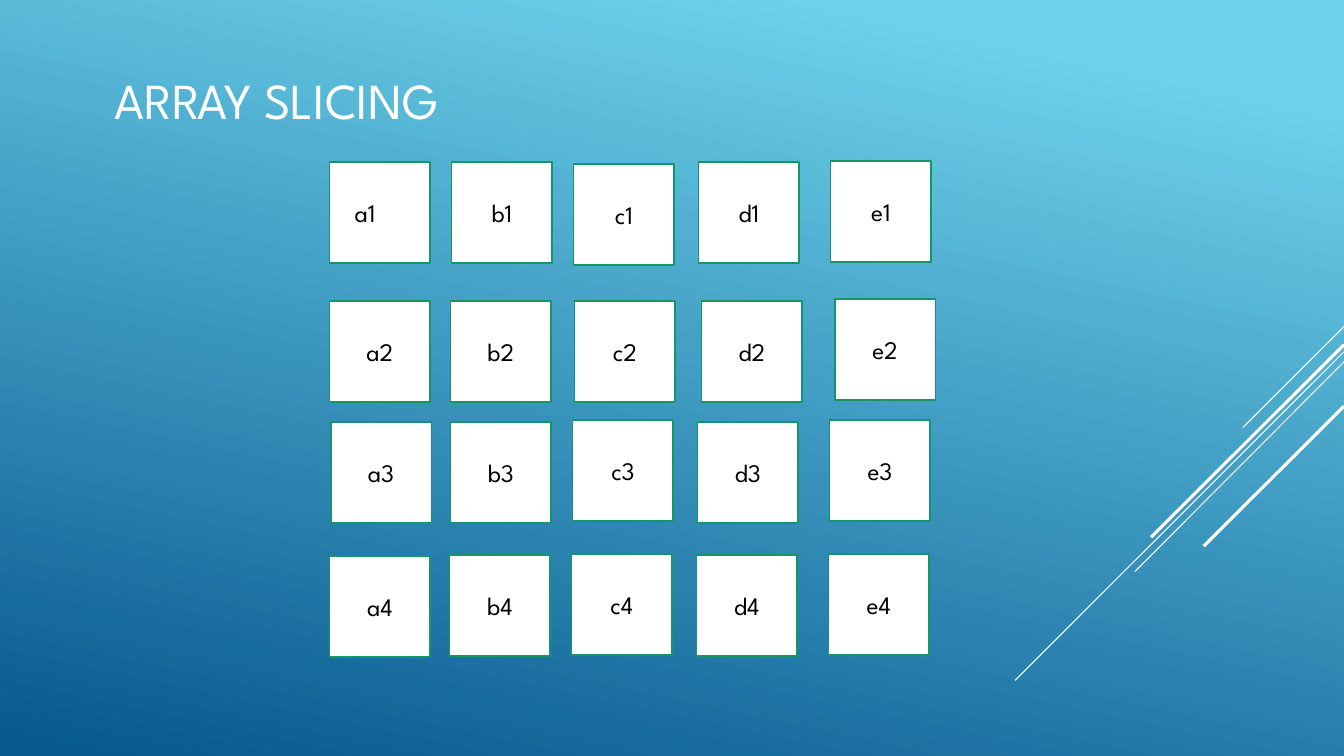
import pptx
import pptx.util
import pptx.dml.color
import pptx.enum.shapes
import pptx.enum.text
import pptx.oxml.ns
import lxml.etree

Pt = pptx.util.Pt
COLORS = {"sky": "6ED2EB", "deep": "06588E", "white": "FFFFFF", "green": "149666", "black": "000000"}
FONT = "League Spartan"
SLIDE_WIDTH = 960
CELL_SIZE = 72


def rgb(name):
    return pptx.dml.color.RGBColor.from_string(COLORS[name])


def add_text(paragraph, text, size, color):
    run = paragraph.add_run()
    run.text = text
    run.font.name = FONT
    run.font.size = Pt(size)
    run.font.color.rgb = rgb(color)


presentation = pptx.Presentation()
presentation.slide_width = Pt(SLIDE_WIDTH)
presentation.slide_height = Pt(540)
slide = presentation.slides.add_slide(presentation.slide_layouts[5])

background = slide.background.fill
background.gradient()
background.gradient_angle = 258
for stop, position, color in zip(background.gradient_stops, (0.1, 1), ("sky", "deep")):
    stop.position = position
    stop.color.rgb = rgb(color)

diagonals = [
    (233.3, 887.8, 305.3, 0.75),
    (251.3, 725, 486, 0.75),
    (258.5, 810.7, 408.2, 0.75),
    (246.2, 822.2, 383.8, 2.25),
    (290.2, 859.7, 390.2, 2.25),
]
for start_y, end_x, end_y, width in diagonals:
    connector = slide.shapes.add_connector(
        pptx.enum.shapes.MSO_CONNECTOR.STRAIGHT,
        Pt(SLIDE_WIDTH), Pt(start_y), Pt(end_x), Pt(end_y))
    connector.line.color.rgb = rgb("white")
    connector.line.width = Pt(width)
    lxml.etree.SubElement(connector._element.spPr, pptx.oxml.ns.qn("a:effectLst"))

cell_rows = [
    ((235.4, 322.6, 409.7, 499, 593.3), (115.9, 115.9, 117.4, 115.9, 115.2)),
    ((235.4, 321.8, 410.4, 501.1, 596.2), (215.3, 215.3, 215.3, 215.3, 213.8)),
    ((236.2, 321.8, 409, 498.2, 592.6), (301.7, 301.7, 300.2, 301.7, 300.2)),
    ((235.4, 321.1, 408.2, 497.5, 591.8), (397.4, 396.7, 396, 396.7, 396)),
]
for row_number, (lefts, tops) in enumerate(cell_rows, start=1):
    for letter, left, top in zip("abcde", lefts, tops):
        cell = slide.shapes.add_shape(
            pptx.enum.shapes.MSO_SHAPE.RECTANGLE,
            Pt(left), Pt(top), Pt(CELL_SIZE), Pt(CELL_SIZE))
        cell.shadow.inherit = False
        cell.fill.solid()
        cell.fill.fore_color.rgb = rgb("white")
        cell.line.color.rgb = rgb("green")
        cell.line.width = Pt(1.25)
        cell.text_frame.vertical_anchor = pptx.enum.text.MSO_ANCHOR.MIDDLE
        paragraph = cell.text_frame.paragraphs[0]
        paragraph.alignment = pptx.enum.text.PP_ALIGN.CENTER
        label = f"{letter}{row_number}"
        add_text(paragraph, "a1\t" if label == "a1" else label, 18, "black")

title = slide.shapes.title
title.left, title.top, title.width, title.height = Pt(74.9), Pt(45.4), Pt(321.1), Pt(51.1)
title.text_frame.word_wrap = True
title.text_frame.auto_size = pptx.enum.text.MSO_AUTO_SIZE.SHAPE_TO_FIT_TEXT
title.text_frame.vertical_anchor = pptx.enum.text.MSO_ANCHOR.TOP
title_paragraph = title.text_frame.paragraphs[0]
title_paragraph.alignment = pptx.enum.text.PP_ALIGN.LEFT
add_text(title_paragraph, "ARRAY SLICING", 36, "white")

presentation.save("out.pptx")
